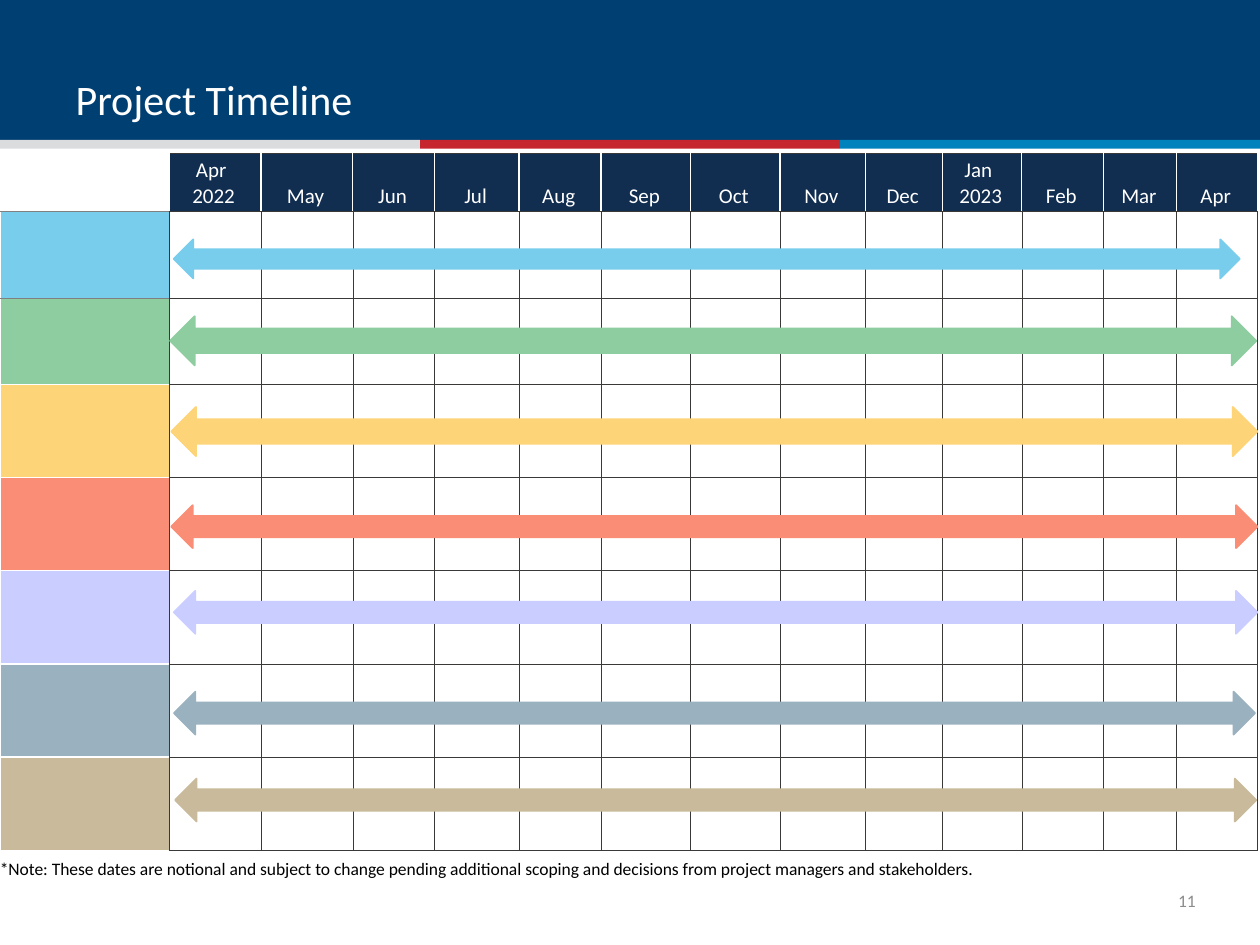
from dataclasses import dataclass
from itertools import product

from pptx import Presentation
from pptx.dml.color import RGBColor as Rgb
from pptx.enum.shapes import MSO_SHAPE as Shape
from pptx.enum.text import MSO_ANCHOR as Anchor, PP_ALIGN as Align
from pptx.oxml.ns import qn
from pptx.util import Inches, Pt
from lxml.etree import SubElement


@dataclass(frozen=True)
class Theme:
    """Hold the font, colours and type sizes."""
    font: str = "Calibri"
    white: str = "FFFFFF"
    black: str = "000000"
    grey: str = "8C8C8C"
    edge: str = "808080"
    grid: str = "3B3838"
    head: str = "112E51"
    band: str = "003F72"
    stripes: tuple = ("DBDCDE", "C6262D", "0082BD")
    title: int = 24
    month: int = 12
    small: int = 10


THEME = Theme()
MONTHS = ("Apr \n2022", "May", "Jun", "Jul", "Aug", "Sep", "Oct",
          "Nov", "Dec", "Jan \n2023", "Feb", "Mar", "Apr")
WIDTHS = (1.34, 0.73, 0.73, 0.65, 0.67, 0.65, 0.71,
          0.71, 0.68, 0.61, 0.63, 0.65, 0.58, 0.64)
HEAD = 0.46
TASKS = (
    ("78CDEC", 0.69, (1.38, 1.9, 8.46, 0.31)),
    ("8DCDA0", 0.68, (1.35, 2.51, 8.62, 0.39)),
    ("FED478", 0.74, (1.36, 3.23, 8.62, 0.39)),
    ("F98D75", 0.74, (1.36, 4.01, 8.62, 0.34)),
    ("CACDFF", 0.74, (1.38, 4.69, 8.6, 0.34)),
    ("9AB1BF", 0.74, (1.38, 5.49, 8.58, 0.34)),
    ("C8BA9A", 0.74, (1.39, 6.18, 8.58, 0.34)),
)


def write(frame, text, size, color, align=Align.LEFT):
    """Set the text of a frame and format its runs."""
    frame.text = text
    for para in frame.paragraphs:
        para.alignment = align
        for run in para.runs:
            run.font.name = THEME.font
            run.font.size = Pt(size)
            run.font.color.rgb = Rgb.from_string(color)


def paint(item, color):
    """Fill a shape or cell with a solid colour."""
    item.fill.solid()
    item.fill.fore_color.rgb = Rgb.from_string(color)


def block(slide, kind, box, color, line=False):
    """Add a flat preset shape, with a line of its own colour if asked."""
    shape = slide.shapes.add_shape(kind, *map(Inches, box))
    shape.shadow.inherit = False
    paint(shape, color)
    if line:
        shape.line.color.rgb = Rgb.from_string(color)
        shape.line.width = Pt(1)
    else:
        shape.line.fill.background()


def label(slide, box, text, color, align=Align.LEFT):
    """Add a small line of text and return its frame."""
    frame = slide.shapes.add_textbox(*map(Inches, box)).text_frame
    write(frame, text, THEME.small, color, align)
    return frame


def border(cell, **sides):
    """Draw the given sides of a cell, each a colour and a width."""
    props = cell._tc.get_or_add_tcPr()
    for side in "LRTB":
        if side in sides:
            color, width = sides[side]
            line = SubElement(props, qn(f"a:ln{side}"), w=str(Pt(width)))
            fill = SubElement(line, qn("a:solidFill"))
            SubElement(fill, qn("a:srgbClr"), val=color)


def header(slide):
    """Draw the title band, its stripes and the title."""
    block(slide, Shape.RECTANGLE, (0, 0, 10, 1.14), THEME.band)
    for col, color in enumerate(THEME.stripes):
        block(slide, Shape.RECTANGLE, (col * 10 / 3, 1.11, 10 / 3, 0.07), color)
    title = slide.shapes.title
    title.left, title.top, title.width, title.height = map(Inches, (0.5, 0.14, 9, 0.89))
    write(title.text_frame, "Project Timeline", THEME.title, THEME.white)
    title.text_frame.vertical_anchor = Anchor.BOTTOM
    slide.shapes._spTree.append(title._element)


def month(cell, text):
    """Format one month heading."""
    cell.margin_left = 0
    cell.margin_right = cell.margin_top = cell.margin_bottom = Inches(0.02)
    cell.vertical_anchor = Anchor.BOTTOM
    write(cell.text_frame, text, THEME.month, THEME.white, Align.CENTER)
    rule = (THEME.white, 1)
    border(cell, L=rule, R=rule, T=(THEME.grid, 1), B=(THEME.grid, 0.25))
    paint(cell, THEME.head)


def calendar(slide):
    """Add the grid of months and tasks."""
    rows = (HEAD, *(high for _, high, _ in TASKS))
    box = map(Inches, (0, 1.22, sum(WIDTHS), sum(rows)))
    table = slide.shapes.add_table(len(rows), len(WIDTHS), *box).table
    table.first_row = table.horz_banding = False
    for col, width in zip(table.columns, WIDTHS):
        col.width = Inches(width)
    for row, high in zip(table.rows, rows):
        row.height = Inches(high)
    thin, edge, gap = (THEME.grid, 0.25), (THEME.edge, 0.5), (THEME.white, 1)
    border(table.cell(0, 0), R=edge, B=edge)
    paint(table.cell(0, 0), THEME.white)
    for col, text in enumerate(MONTHS, 1):
        month(table.cell(0, col), text)
    for row, (color, _, _) in enumerate(TASKS, 1):
        cell = table.cell(row, 0)
        border(cell, R=thin, T=edge if row < 3 else gap, B=edge if row < 2 else gap)
        paint(cell, color)
    for row, col in product(range(1, len(rows)), range(1, len(WIDTHS))):
        cell = table.cell(row, col)
        border(cell, L=thin, R=thin, T=thin, B=thin)
        paint(cell, THEME.white)


def main():
    """Build and save the slide."""
    deck = Presentation()
    deck.slide_width, deck.slide_height = Inches(10), Inches(7.5)
    slide = deck.slides.add_slide(deck.slide_layouts[5])
    header(slide)
    calendar(slide)
    for color, _, box in TASKS:
        block(slide, Shape.LEFT_RIGHT_ARROW, box, color, line=True)
    label(slide, (-0.1, 6.76, 8.04, 0.27),
          "*Note: These dates are notional and subject to change pending additional "
          "scoping and decisions from project managers and stakeholders.", THEME.black)
    page = label(slide, (9.22, 6.95, 0.27, 0.4), "11", THEME.grey, Align.RIGHT)
    page.margin_left = page.margin_right = page.margin_top = page.margin_bottom = 0
    page.vertical_anchor = Anchor.MIDDLE
    page.word_wrap = True
    deck.save("out.pptx")


if __name__ == "__main__":
    main()
